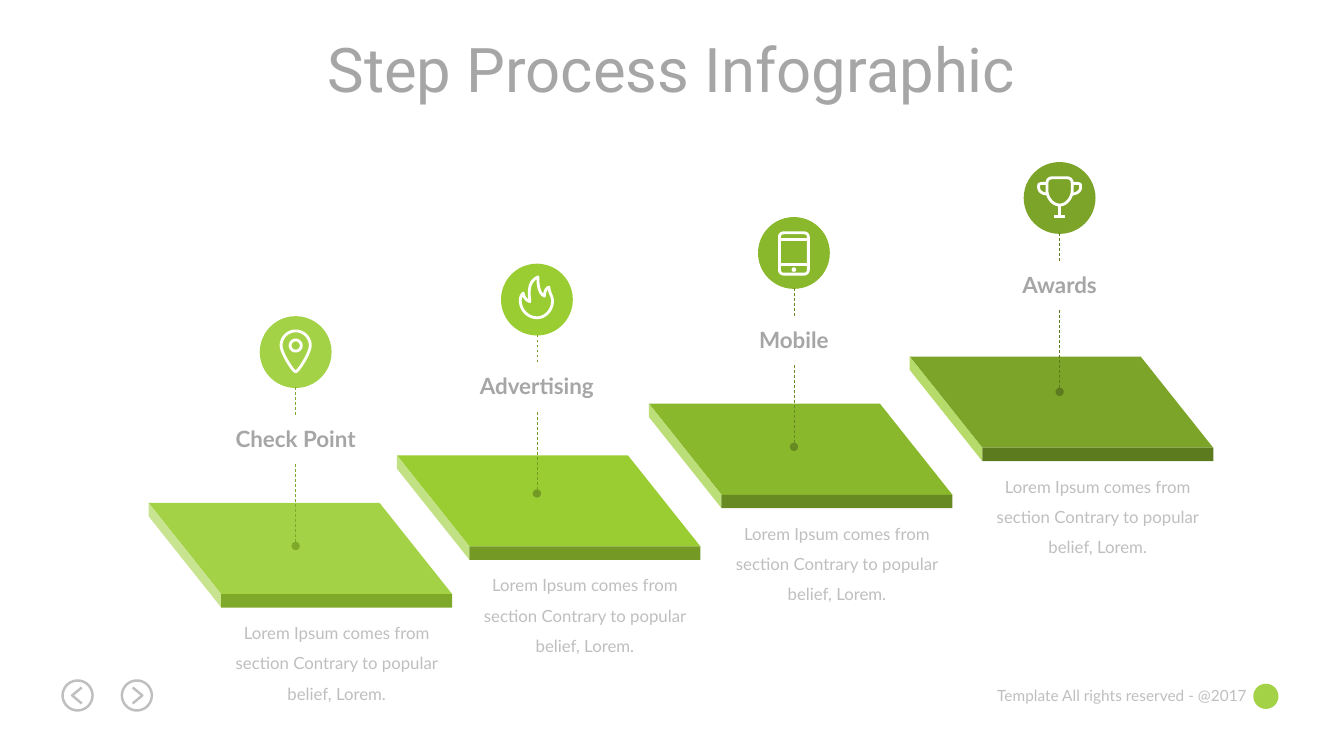
from dataclasses import dataclass

from lxml import etree
from pptx import Presentation
from pptx.dml.color import RGBColor
from pptx.enum.dml import MSO_LINE
from pptx.enum.shapes import MSO_CONNECTOR, MSO_SHAPE
from pptx.enum.text import PP_ALIGN
from pptx.oxml.ns import qn
from pptx.util import Emu, Inches, Pt

DASH = MSO_LINE.DASH
STRAIGHT = MSO_CONNECTOR.STRAIGHT
ELLIPSE, RECTANGLE = MSO_SHAPE.OVAL, MSO_SHAPE.RECTANGLE
CENTER, RIGHT = PP_ALIGN.CENTER, PP_ALIGN.RIGHT

# Square grid cells: 160 columns by 90 rows fill the slide.
COLUMNS, ROWS = 160, 90
CELL = Inches(13.333) / COLUMNS

COLORS = {
    "white": "FFFFFF", "heading": "A6A6A6", "muted": "BFBFBF", "emblem": "A4D246",
}
BODY = "Lorem Ipsum comes from section Contrary to popular belief, Lorem."

SLAB_WIDTH, SLAB_SLANT, SLAB_DEPTH = 27.5, 8.64, 10.85
SLAB_EDGE = 1.6
BADGE_SIZE, BADGE_RISE = 8.55, 23.08
LABEL_RISE = 12.78

Segment = tuple[float, ...]  # (x, y) is a line, six numbers are a cubic curve
Contour = tuple[Segment, ...]


def ring(x: float, y: float, radius: float) -> Contour:
    k = 0.55 * radius
    return (
        (x, y - radius),
        (x + k, y - radius, x + radius, y - k, x + radius, y),
        (x + radius, y + k, x + k, y + radius, x, y + radius),
        (x - k, y + radius, x - radius, y + k, x - radius, y),
        (x - radius, y - k, x - k, y - radius, x, y - radius),
    )


def mirrored(contour: Contour) -> Contour:
    return tuple(
        tuple(-v if i % 2 == 0 else v for i, v in enumerate(segment)) for segment in contour
    )


PIN = (
    ((0, -2.52), (0.96, -2.52, 1.74, -1.74, 1.74, -0.78), (1.74, 0.1, 0.3, 2.34, 0, 2.34),
     (-0.3, 2.34, -1.74, 0.1, -1.74, -0.78), (-1.74, -1.74, -0.96, -2.52, 0, -2.52)),
    ring(0, -0.78, 0.66),
)
FLAME = (
    ((1.44, -1.5), (1, -1.3, 0.9, -0.8, 0.9, -0.42), (0.2, -0.7, 0.1, -1.9, 0.12, -2.7),
     (-1.2, -2.1, -0.9, -0.6, -0.84, 0.24), (-1.3, 0.1, -1.62, -0.4, -1.62, -0.78),
     (-1.9, -0.5, -1.98, -0.2, -1.98, 0.12), (-1.98, 1.25, -1.05, 2.16, 0, 2.16),
     (1.05, 2.16, 1.86, 1.2, 1.86, 0.18), (1.86, -0.5, 1.44, -0.75, 1.44, -1.5)),
)
PHONE = (
    ((-1.2, -2.4), (1.2, -2.4), (1.5, -2.4, 1.72, -2.2, 1.72, -1.9), (1.72, 2),
     (1.72, 2.3, 1.5, 2.52, 1.2, 2.52), (-1.2, 2.52), (-1.5, 2.52, -1.72, 2.3, -1.72, 2),
     (-1.72, -1.9), (-1.72, -2.2, -1.5, -2.4, -1.2, -2.4)),
    ((-1.72, -1.56), (1.72, -1.56)),
    ((-1.72, 1.38), (1.72, 1.38)),
    ring(0, 1.98, 0.1),
)
HANDLE = ((-1.5, -1.74), (-2.5, -1.74, -2.5, -1.74, -2.5, -1.26),
          (-2.5, -0.85, -2.1, -0.48, -1.5, -0.48))
TROPHY = (
    ((-1.5, -0.9), (-1.5, -1.8), (-1.5, -2.15, -1.25, -2.4, -0.9, -2.4), (0.9, -2.4),
     (1.25, -2.4, 1.5, -2.15, 1.5, -1.8), (1.5, -0.9), (1.5, 0, 0.8, 0.84, 0, 0.84),
     (-0.8, 0.84, -1.5, 0, -1.5, -0.9)),
    HANDLE, mirrored(HANDLE),
    ((0, 0.84), (0, 2.16)),
    ((-0.65, 2.16), (0.65, 2.16)),
)
CHEVRON = ((0.5, -0.95), (-0.65, 0), (0.5, 0.95))
PREVIOUS = (ring(0, 0, 1.78), CHEVRON)
NEXT = (ring(0, 0, 1.78), mirrored(CHEVRON))


@dataclass(frozen=True)
class Step:
    label: str
    icon: tuple[Contour, ...]
    left: float
    top: float
    pole_x: float
    pole_foot: float
    face: str
    side: str
    front: str


STEPS = (
    Step("Check Point", PIN, 17.7, 59.88, 35.2, 65, "A4D246", "C8E490", "7FA929"),
    Step("Advertising", FLAME, 47.25, 54.2, 63.92, 58.75, "9ACD32", "C2E184", "749A25"),
    Step("Mobile", PHONE, 77.25, 48.05, 94.52, 53.2, "8AB82D", "BCDE78", "678A22"),
    Step("Awards", TROPHY, 108.3, 42.45, 126.15, 46.65, "7BA428", "B6DB6B", "5C7B1E"),
)


def cells(count: float) -> Emu:
    return Emu(round(count * CELL))


def flattened(contour: Contour, pieces: int = 10) -> list[tuple[float, float]]:
    """Turn a contour's curves into short straight pieces."""
    points = [contour[0]]
    for segment in contour[1:]:
        if len(segment) == 2:
            points.append(segment)
            continue
        knots = (points[-1], segment[:2], segment[2:4], segment[4:])
        for t in (i / pieces for i in range(1, pieces + 1)):
            weights = ((1 - t) ** 3, 3 * t * (1 - t) ** 2, 3 * t * t * (1 - t), t ** 3)
            points.append(tuple(
                sum(w * knot[axis] for w, knot in zip(weights, knots)) for axis in (0, 1)
            ))
    return points


def outline(shapes, x: float, y: float, contours: tuple[Contour, ...], closed: bool):
    paths = [[(cells(x + px), cells(y + py)) for px, py in flattened(c)] for c in contours]
    builder = shapes.build_freeform(*paths[0][0], scale=1.0)
    for index, points in enumerate(paths):
        if index:
            builder.move_to(*points[0])
        builder.add_line_segments(points[1:], close=closed)
    shape = builder.convert_to_shape()
    shape.shadow.inherit = False
    return shape


def paint(shape, color: str) -> None:
    shape.shadow.inherit = False
    shape.fill.solid()
    shape.fill.fore_color.rgb = RGBColor.from_string(color)
    shape.line.fill.background()


def add_icon(shapes, x: float, y: float, icon: tuple[Contour, ...], color: str, weight: float) -> None:
    shape = outline(shapes, x, y, icon, closed=False)
    shape.fill.background()
    shape.line.color.rgb = RGBColor.from_string(color)
    shape.line.width = Pt(weight)


def add_preset(shapes, kind, x: float, y: float, width: float, height: float, color: str) -> None:
    paint(shapes.add_shape(kind, cells(x), cells(y), cells(width), cells(height)), color)


def add_text(shapes, text: str, x: float, y: float, width: float, height: float, size: float,
             color: str, font: str = "Lato", align=CENTER, bold: bool = False,
             wrap: bool = False, spacing: float = 1.0) -> None:
    frame = shapes.add_textbox(cells(x), cells(y), cells(width), cells(height)).text_frame
    frame.word_wrap = wrap
    paragraph = frame.paragraphs[0]
    paragraph.text = text
    paragraph.alignment = align
    paragraph.line_spacing = spacing
    paragraph.font.name = font
    paragraph.font.size = Pt(size)
    paragraph.font.bold = bold
    paragraph.font.color.rgb = RGBColor.from_string(color)


def add_pole(shapes, x: float, start: float, end: float, color: str, dotted_foot: bool) -> None:
    pole = shapes.add_connector(STRAIGHT, cells(x), cells(start), cells(x), cells(end))
    pole.line.color.rgb = RGBColor.from_string(color)
    pole.line.width = Pt(0.5)
    pole.line.dash_style = DASH
    properties = pole._element.spPr
    if dotted_foot:
        etree.SubElement(properties.find(qn("a:ln")), qn("a:headEnd"), type="oval")
    etree.SubElement(properties, qn("a:effectLst"))


def add_slab(shapes, step: Step) -> None:
    face = ((0, 0), (SLAB_WIDTH, 0), (SLAB_WIDTH + SLAB_SLANT, SLAB_DEPTH), (SLAB_SLANT, SLAB_DEPTH))
    side = ((0, 0), (0, SLAB_EDGE), (SLAB_SLANT, SLAB_DEPTH + SLAB_EDGE), (SLAB_SLANT, SLAB_DEPTH))
    for contour, color in ((face, step.face), (side, step.side)):
        paint(outline(shapes, step.left, step.top, (contour,), closed=True), color)
    add_preset(shapes, RECTANGLE, step.left + SLAB_SLANT, step.top + SLAB_DEPTH,
               SLAB_WIDTH, SLAB_EDGE, step.front)


def add_marker(shapes, step: Step) -> None:
    x, foot = step.pole_x, step.pole_foot
    badge_y = foot - BADGE_RISE
    add_preset(shapes, ELLIPSE, x - BADGE_SIZE / 2, badge_y - BADGE_SIZE / 2,
               BADGE_SIZE, BADGE_SIZE, step.face)
    add_pole(shapes, x, foot, foot - 9.85, step.front, True)
    add_pole(shapes, x, foot - 15.6, foot - 18.95, step.front, False)
    add_icon(shapes, x, badge_y, step.icon, COLORS["white"], 2)
    add_text(shapes, step.label, x - 9, foot - LABEL_RISE - 2.22, 18, 4.44, 16,
             COLORS["heading"], bold=True)


def main() -> None:
    deck = Presentation()
    deck.slide_width, deck.slide_height = cells(COLUMNS), cells(ROWS)
    shapes = deck.slides.add_slide(deck.slide_layouts[6]).shapes

    add_preset(shapes, ELLIPSE, 149.2, 81.4, 3, 3, COLORS["emblem"])
    add_text(shapes, "Template All rights reserved - @2017", 116.9, 81.1, 32.75, 3.5, 11,
             COLORS["muted"], align=RIGHT)
    for x, button in ((9.24, PREVIOUS), (16.3, NEXT)):
        add_icon(shapes, x, 82.8, button, COLORS["muted"], 1.75)
    add_text(shapes, "Step Process Infographic", 36, 3.1, 88, 10.1, 44,
             COLORS["heading"], font="Roboto")
    for step in STEPS:
        add_slab(shapes, step)
    for step in STEPS:
        add_marker(shapes, step)
        add_text(shapes, BODY, step.left + SLAB_SLANT, step.top + 12.48, SLAB_WIDTH, 12.1, 12,
                 COLORS["muted"], wrap=True, spacing=1.5)
    deck.save("out.pptx")


if __name__ == "__main__":
    main()
